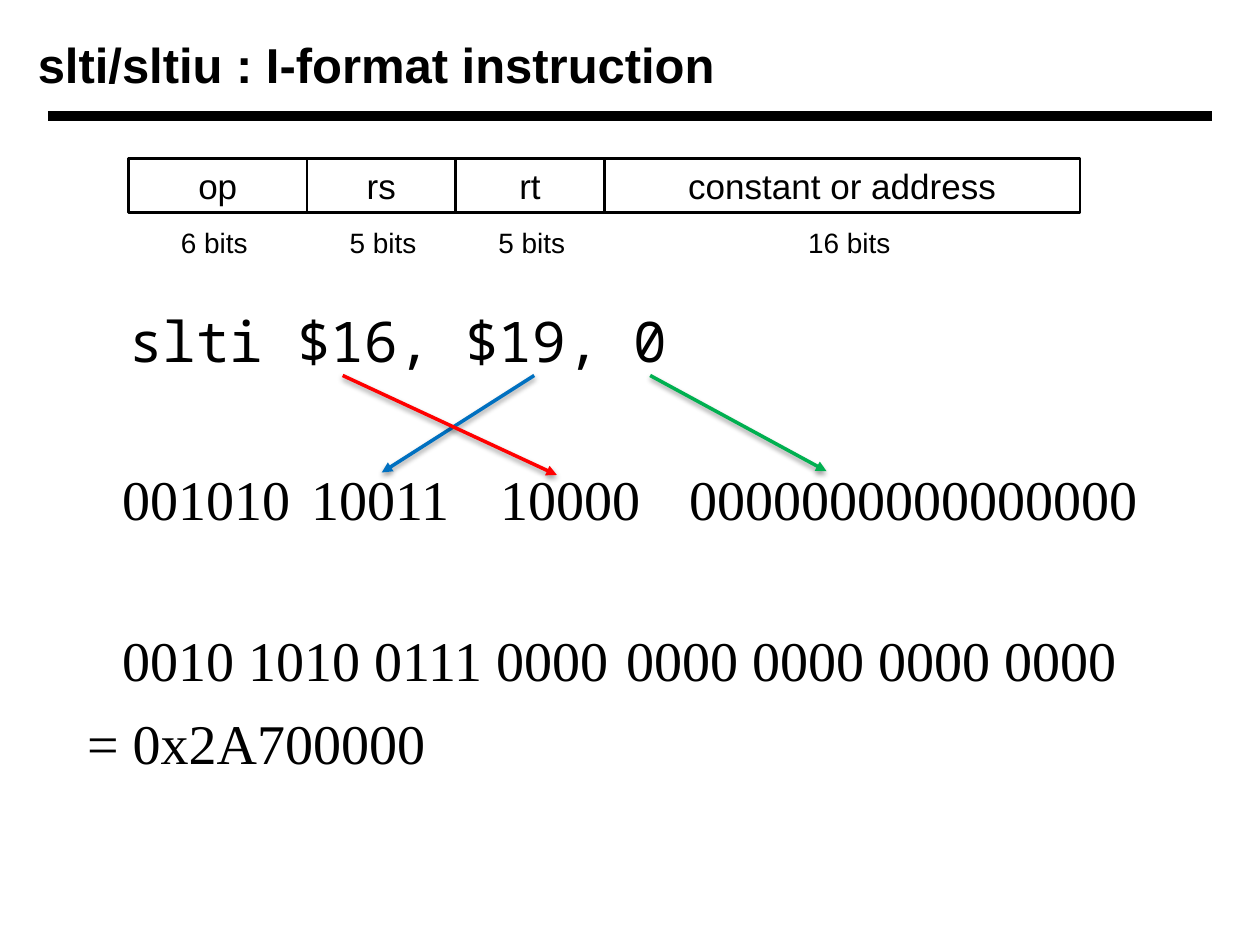
import pptx
import pptx.util
import pptx.dml.color
import pptx.enum.shapes
import pptx.enum.text
import pptx.oxml
import pptx.oxml.ns
from dataclasses import dataclass
from lxml import etree

Inches, Pt = pptx.util.Inches, pptx.util.Pt
ALIGN, ANCHOR = pptx.enum.text.PP_ALIGN, pptx.enum.text.MSO_ANCHOR
NS = pptx.oxml.ns.nsdecls("a")


@dataclass(frozen=True)
class Theme:
    ink: str = "000000"
    rs: str = "0070C0"
    rt: str = "FF0000"
    constant: str = "00B050"
    sans: str = "Arial"
    serif: str = "Times New Roman"
    mono: str = "Noto Sans Mono"
    title: int = 28
    code: int = 32
    field: int = 20
    caption: int = 16


THEME = Theme()
TITLE = "slti/sltiu : I-format instruction"

# name, bits, middle of the caption, width of the caption
FIELDS = [
    ("op", 6, 1.7, 0.65),
    ("rs", 5, 3.04, 0.65),
    ("rt", 5, 4.22, 0.65),
    ("constant or address", 16, 6.74, 0.77),
]
FORMAT_LEFT, FORMAT_TOP, FORMAT_HEIGHT, BIT_WIDTH = 1.02, 1.26, 0.43, 0.236
CAPTION_TOP, CAPTION_HEIGHT = 1.74, 0.34

# text, font, left indent, space before, tab stops (all in points)
ENCODING = [
    ("slti $16, $19, 0", THEME.mono, 40, 0, []),
    ("\t001010\t10011\t10000\t0000000000000000", THEME.serif, 0, 52,
     [40, 160, 263, 367]),
    ("\t0010 1010 0111 0000\t0000 0000 0000 0000", THEME.serif, 0, 54,
     [40, 333]),
    ("= 0x2A700000", THEME.serif, 16, 8.7, []),
]

OPERAND_Y = 2.98
# operand x, encoded field x and y, colour
OPERAND_ARROWS = [
    (4.24, 3.03, 3.75, THEME.rs),
    (2.72, 4.42, 3.77, THEME.rt),
    (5.16, 6.56, 3.74, THEME.constant),
]


def rgb(value):
    return pptx.dml.color.RGBColor.from_string(value)


def prepare(frame, anchor, wrap=True):
    frame.margin_left = frame.margin_right = Inches(0.05)
    frame.margin_top = frame.margin_bottom = Inches(0.05)
    frame.word_wrap = wrap
    frame.vertical_anchor = anchor
    return frame


def write(paragraph, text, size, face, bold=False, align=ALIGN.LEFT):
    paragraph.alignment = align
    run = paragraph.add_run()
    run.text = text
    run.font.size, run.font.name, run.font.bold = Pt(size), face, bold
    run.font.color.rgb = rgb(THEME.ink)


def text_box(slide, box, anchor=ANCHOR.TOP, wrap=True):
    area = slide.shapes.add_textbox(*map(Inches, box))
    return prepare(area.text_frame, anchor, wrap)


def indent(paragraph, left, stops):
    properties = paragraph._p.get_or_add_pPr()
    properties.set("marL", str(Pt(left)))
    properties.set("indent", "0")
    if stops:
        tabs = "".join(f'<a:tab pos="{Pt(s)}" algn="l"/>' for s in stops)
        properties.append(
            pptx.oxml.parse_xml(f"<a:tabLst {NS}>{tabs}</a:tabLst>"))


def straight(slide, start, end, color, width, arrow=False):
    """Draw a line; an arrow also gets a head and a soft shadow."""
    line = slide.shapes.add_connector(
        pptx.enum.shapes.MSO_CONNECTOR.STRAIGHT, *map(Inches, start + end))
    line.line.color.rgb = rgb(color)
    line.line.width = Pt(width)
    shadow = ""
    if arrow:
        head = etree.SubElement(line.line._get_or_add_ln(),
                                pptx.oxml.ns.qn("a:tailEnd"))
        head.set("type", "triangle")
        shadow = (f'<a:outerShdw blurRad="{Pt(3)}" dist="{Pt(1.6)}" '
                  'dir="5400000" rotWithShape="0"><a:srgbClr val="000000">'
                  '<a:alpha val="38000"/></a:srgbClr></a:outerShdw>')
    line._element.spPr.append(
        pptx.oxml.parse_xml(f"<a:effectLst {NS}>{shadow}</a:effectLst>"))


def add_heading(slide):
    straight(slide, (0.38, 0.92), (9.62, 0.92), THEME.ink, 6)
    frame = text_box(slide, (0.25, 0.17, 8.33, 0.67), ANCHOR.MIDDLE)
    write(frame.paragraphs[0], TITLE, THEME.title, THEME.sans, bold=True)


def add_encoding(slide):
    frame = text_box(slide, (0.42, 2.38, 9.17, 4.5))
    for i, (text, face, left, before, stops) in enumerate(ENCODING):
        paragraph = frame.add_paragraph() if i else frame.paragraphs[0]
        indent(paragraph, left, stops)
        if before:
            paragraph.space_before = Pt(before)
        write(paragraph, text, THEME.code, face)


def add_format(slide):
    left = FORMAT_LEFT
    for name, bits, middle, caption_width in FIELDS:
        width = bits * BIT_WIDTH
        cell = slide.shapes.add_shape(
            pptx.enum.shapes.MSO_SHAPE.RECTANGLE,
            *map(Inches, (left, FORMAT_TOP, width, FORMAT_HEIGHT)))
        cell.shadow.inherit = False
        cell.fill.background()
        cell.line.color.rgb = rgb(THEME.ink)
        cell.line.width = Pt(1.5)
        frame = prepare(cell.text_frame, ANCHOR.MIDDLE)
        write(frame.paragraphs[0], name, THEME.field, THEME.sans,
              align=ALIGN.CENTER)
        caption = text_box(slide, (middle - caption_width / 2, CAPTION_TOP,
                                   caption_width, CAPTION_HEIGHT), wrap=False)
        write(caption.paragraphs[0], f"{bits} bits", THEME.caption,
              THEME.sans, align=ALIGN.CENTER)
        left += width


def main():
    deck = pptx.Presentation()
    deck.slide_width, deck.slide_height = Inches(10), Inches(7.5)
    slide = deck.slides.add_slide(deck.slide_layouts[6])
    add_heading(slide)
    add_encoding(slide)
    for operand_x, field_x, field_y, color in OPERAND_ARROWS:
        straight(slide, (operand_x, OPERAND_Y), (field_x, field_y), color, 2,
                 arrow=True)
    add_format(slide)
    deck.save("out.pptx")


if __name__ == "__main__":
    main()
